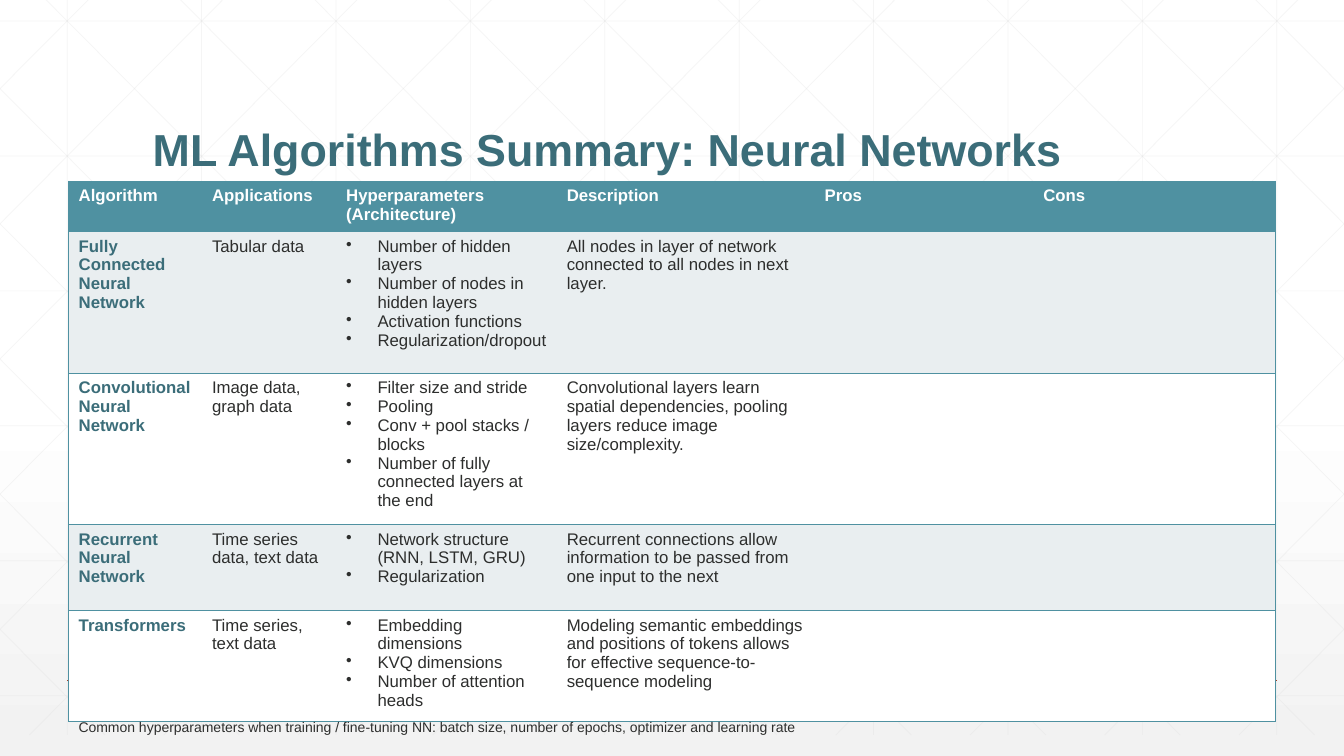
from dataclasses import dataclass

from lxml.etree import SubElement
from pptx import Presentation
from pptx.dml.color import RGBColor
from pptx.enum.shapes import MSO_CONNECTOR
from pptx.enum.text import MSO_ANCHOR
from pptx.oxml import parse_xml
from pptx.oxml.ns import nsdecls, qn
from pptx.util import Cm, Pt


@dataclass(frozen=True)
class Theme:
    font: str = "Arial"
    title: str = "3B6D79"
    head: str = "4F91A1"
    band: str = "E9EEF0"
    white: str = "FFFFFF"
    ink: str = "2D2E2D"
    mesh: str = "D9D9D9"
    rule: str = "A43F27"
    fade: str = "F2F2F2"
    big: int = 32
    body: int = 12
    small: int = 10


WIDTH, HEIGHT = 33.87, 19.05
INDENT = 0.79
PLAIN_GRID = "{2D5ABB26-0587-4C30-8999-92F81FD0307C}"

COLS = [3.36, 3.38, 5.56, 6.5, 5.51, 6.1]
ROWS = [1.23, 3.57, 3.58, 2.17, 2.65]
HEADS = ["Algorithm", "Applications", "Hyperparameters (Architecture)",
         "Description", "Pros", "Cons"]
NETS = [
    ("Fully Connected Neural Network", "Tabular data",
     ["Number of hidden layers", "Number of nodes in hidden layers",
      "Activation functions", "Regularization/dropout"],
     "All nodes in layer of network connected to all nodes in next layer."),
    ("Convolutional Neural Network", "Image data, graph data",
     ["Filter size and stride", "Pooling", "Conv + pool stacks / blocks",
      "Number of fully connected layers at the end"],
     "Convolutional layers learn spatial dependencies, pooling layers "
     "reduce image size/complexity."),
    ("Recurrent Neural Network", "Time series data, text data",
     ["Network structure (RNN, LSTM, GRU)", "Regularization"],
     "Recurrent connections allow information to be passed from one input "
     "to the next"),
    ("Transformers", "Time series, text data",
     ["Embedding dimensions", "KVQ dimensions", "Number of attention heads"],
     "Modeling semantic embeddings and positions of tokens allows for "
     "effective sequence-to-sequence modeling"),
]


def write(frame, text, font, size, color, bold=False, space=None):
    """Fill a text frame; a list of strings becomes bullets."""
    listed = isinstance(text, list)
    for i, line in enumerate(text if listed else [text]):
        par = frame.add_paragraph() if i else frame.paragraphs[0]
        if space:
            par.line_spacing = space
        if listed:
            props = par._p.get_or_add_pPr()
            props.set("marL", str(Cm(INDENT)))
            props.set("indent", str(-Cm(INDENT)))
            SubElement(props, qn("a:buChar")).set("char", "•")
        run = par.add_run()
        run.text = line
        run.font.name = font
        run.font.size = Pt(size)
        run.font.bold = bold
        run.font.color.rgb = RGBColor.from_string(color)


class Deck:
    def __init__(self, theme):
        self.theme = theme
        self.show = Presentation()
        self.show.slide_width, self.show.slide_height = Cm(WIDTH), Cm(HEIGHT)
        self.slide = self.show.slides.add_slide(self.show.slide_layouts[6])

    def shade(self, start, end, place):
        fill = self.slide.background.fill
        fill.gradient()
        fill.gradient_angle = 270
        for stop, color, pos in zip(fill.gradient_stops, (start, end), (place, 1)):
            stop.color.rgb = RGBColor.from_string(color)
            stop.position = pos

    def line(self, x1, y1, x2, y2, color, width, alpha=None):
        line = self.slide.shapes.add_connector(
            MSO_CONNECTOR.STRAIGHT, Cm(x1), Cm(y1), Cm(x2), Cm(y2))
        line.line.width = Pt(width)
        line.line.color.rgb = RGBColor.from_string(color)
        if alpha:
            tint = line._element.spPr.find(".//" + qn("a:srgbClr"))
            SubElement(tint, qn("a:alpha")).set("val", str(alpha * 1000))
        SubElement(line._element.spPr, qn("a:effectLst"))

    def text(self, x, y, w, h, text, anchor=MSO_ANCHOR.TOP, **form):
        box = self.slide.shapes.add_textbox(Cm(x), Cm(y), Cm(w), Cm(h))
        box.text_frame.word_wrap = True
        box.text_frame.vertical_anchor = anchor
        write(box.text_frame, text, self.theme.font, **form)

    def edge(self, cell, sides):
        props = cell._tc.get_or_add_tcPr()
        for i, side in enumerate(sides):
            props.insert(i, parse_xml(
                f'<a:ln{side} {nsdecls("a")} w="{Pt(1)}"><a:solidFill>'
                f'<a:srgbClr val="{self.theme.head}"/></a:solidFill></a:ln{side}>'))

    def table(self, x, y, cols, rows, cells):
        look = self.theme
        grid = self.slide.shapes.add_table(
            len(rows), len(cols), Cm(x), Cm(y), Cm(sum(cols)), Cm(sum(rows))).table
        grid._tbl.tblPr.find(qn("a:tableStyleId")).text = PLAIN_GRID
        for col, width in zip(grid.columns, cols):
            col.width = Cm(width)
        for r, height in enumerate(rows):
            grid.rows[r].height = Cm(height)
            fill = look.band if r % 2 else look.white
            for c in range(len(cols)):
                cell = grid.cell(r, c)
                cell.fill.solid()
                cell.fill.fore_color.rgb = RGBColor.from_string(fill if r else look.head)
                left = "L" if c == 0 else ""
                right = "R" if c == len(cols) - 1 else ""
                self.edge(cell, left + right + "TB")
                if c < len(cells[r]):
                    color = look.white if r == 0 else look.ink if c else look.title
                    write(cell.text_frame, cells[r][c], look.font, size=look.body,
                          color=color, bold=r == 0 or c == 0)


def mesh(deck):
    """Faint grid of upright, level and mirrored slanted lines."""
    pen = dict(color=deck.theme.mesh, width=0.5, alpha=25)
    step, top, low = WIDTH / 10, -0.53, 18.52
    for k in range(10):
        x = step * (k + 0.5)
        deck.line(x, top, x, low, **pen)
    for k in range(6):
        y = 0.53 + 3.4 * k
        deck.line(0, y, WIDTH, y, **pen)
    run = 18.94
    slope = (low - top) / run
    for k in range(-5, 10):
        base = 0.64 + step * k
        x1, x2 = max(base, 0), min(base + run, WIDTH)
        y1, y2 = (top + (x - base) * slope for x in (x1, x2))
        deck.line(x1, y1, x2, y2, **pen)
        deck.line(WIDTH - x1, y1, WIDTH - x2, y2, **pen)


def main():
    look = Theme()
    deck = Deck(look)

    # Backdrop
    deck.shade(look.white, look.fade, 0.53)
    mesh(deck)
    deck.line(1.7, 17.15, 32.17, 17.15, color=look.rule, width=1)

    # Title
    deck.text(3.6, 1.4, 26.67, 3.17, "ML Algorithms Summary: Neural Networks",
              anchor=MSO_ANCHOR.BOTTOM, size=look.big, color=look.title,
              bold=True, space=0.9)

    # Summary table
    deck.table(1.73, 4.57, COLS, ROWS, [HEADS] + NETS)

    # Footnote
    deck.text(1.73, 17.98, 26.42, 0.69,
              "Common hyperparameters when training / fine-tuning NN: batch size, "
              "number of epochs, optimizer and learning rate",
              size=look.small, color=look.ink)

    deck.show.save("out.pptx")


if __name__ == "__main__":
    main()
